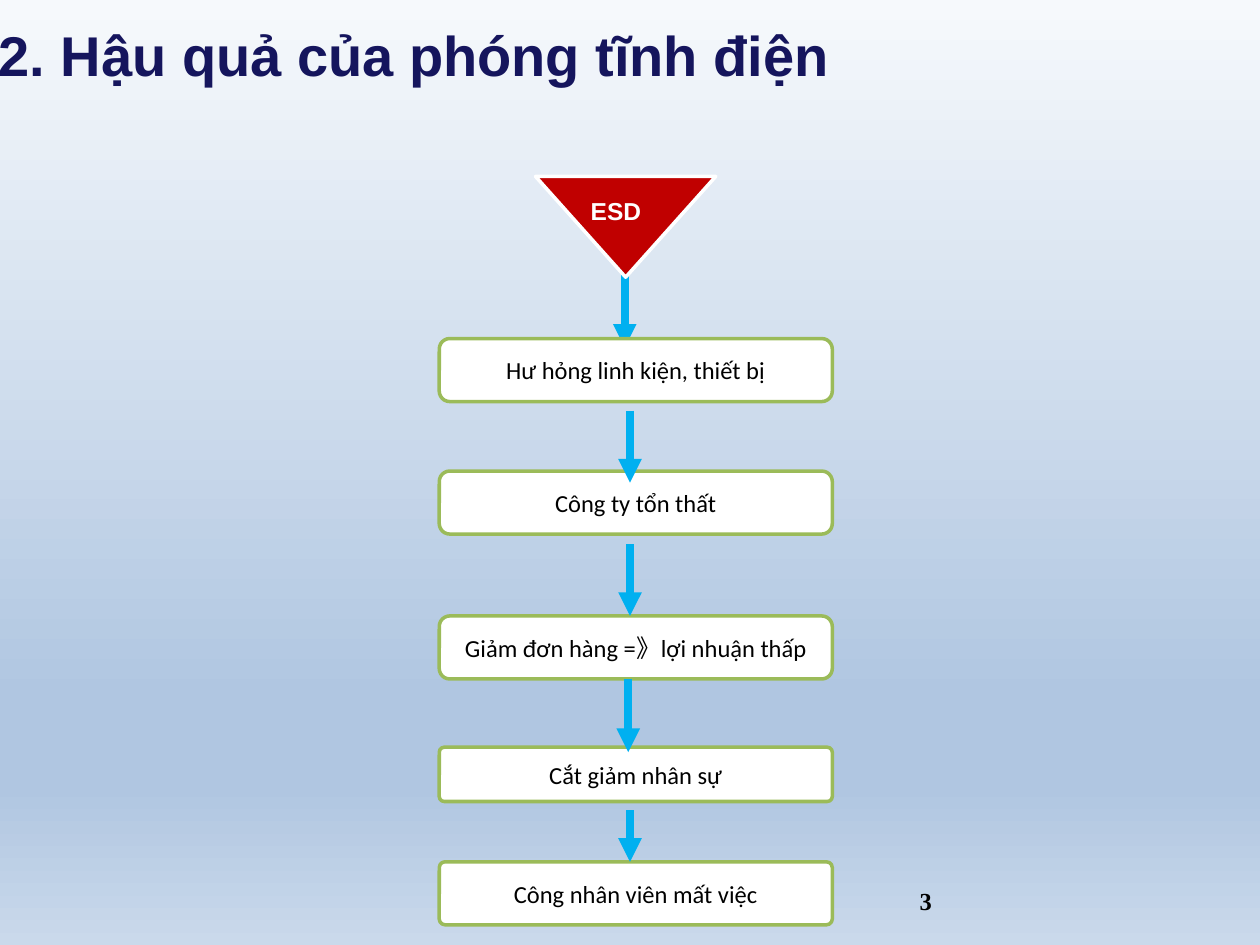
import copy
from dataclasses import dataclass

import pptx
import pptx.dml.color
import pptx.enum.shapes
import pptx.enum.text
import pptx.oxml.ns
import pptx.util

Pt = pptx.util.Pt
Shape = pptx.enum.shapes.MSO_SHAPE
Align = pptx.enum.text.PP_ALIGN
Anchor = pptx.enum.text.MSO_ANCHOR
qn = pptx.oxml.ns.qn


@dataclass
class Step:
    text: str
    top: float
    high: float = 36
    bend: float = 0.1667


@dataclass
class Arrow:
    left: float
    top: float
    end: float


STEPS = [
    Step("Hư hỏng linh kiện, thiết bị", 193.5),
    Step("Công ty tổn thất", 269.2),
    Step("Giảm đơn hàng =》lợi nhuận thấp", 352),
    Step("Cắt giảm nhân sự", 427, 31, 0.092),
    Step("Công nhân viên mất việc", 492.5, 36, 0.092),
]
FIRST = Arrow(357, 157, 198.7)
ARROWS = [
    Arrow(360, 234.7, 275.8),
    Arrow(360, 311, 352),
    Arrow(359, 388, 429.8),
    Arrow(360, 463, 492.5),
]
STOPS = [(0, "F6F9FC"), (0.74, "B0C6E1"), (0.83, "B0C6E1"), (1, "CAD9EB")]


def color(code: str) -> pptx.dml.color.RGBColor:
    return pptx.dml.color.RGBColor.from_string(code)


def style(para, name: str, size: float, code: str, bold: bool = False) -> None:
    font = para.font
    font.name, font.size, font.bold = name, Pt(size), bold
    font.color.rgb = color(code)


def paint(shape, fill: str, line: str) -> None:
    shape.shadow.inherit = False
    shape.fill.solid()
    shape.fill.fore_color.rgb = color(fill)
    shape.line.color.rgb = color(line)
    shape.line.width = Pt(2)


def shade(slide) -> None:
    fill = slide.background.fill
    fill.gradient()
    fill.gradient_angle = 270
    stops = next(slide.element.iter(qn("a:gsLst")))
    for _ in range(len(STOPS) - len(stops)):
        stops.append(copy.deepcopy(stops[0]))
    for stop, (place, code) in zip(fill.gradient_stops, STOPS):
        stop.position = place
        stop.color.rgb = color(code)


def head(slide, text: str) -> None:
    title = slide.shapes.title
    title.left, title.top = Pt(-0.7), Pt(8)
    title.width, title.height = Pt(720), Pt(46)
    frame = title.text_frame
    frame.margin_left = frame.margin_right = 0
    frame.margin_top = frame.margin_bottom = 0
    frame.vertical_anchor = Anchor.MIDDLE
    frame.text = text
    para = frame.paragraphs[0]
    para.alignment = Align.LEFT
    style(para, "Arial", 32, "15155D", True)


def label(slide, text: str, left: float, top: float, wide: float,
          high: float, name: str, code: str) -> None:
    box = slide.shapes.add_textbox(Pt(left), Pt(top), Pt(wide), Pt(high))
    box.text_frame.word_wrap = True
    box.text_frame.text = text
    style(box.text_frame.paragraphs[0], name, 14, code, True)


def draw_step(slide, step: Step) -> None:
    box = slide.shapes.add_shape(
        Shape.ROUNDED_RECTANGLE, Pt(251), Pt(step.top), Pt(224.6), Pt(step.high))
    box.adjustments[0] = step.bend
    paint(box, "FFFFFF", "9BBB59")
    frame = box.text_frame
    frame.word_wrap = True
    frame.vertical_anchor = Anchor.MIDDLE
    frame.text = step.text
    para = frame.paragraphs[0]
    para.alignment = Align.CENTER
    style(para, "Calibri", 14, "000000")


def draw_arrow(slide, arrow: Arrow) -> None:
    line = slide.shapes.add_connector(
        pptx.enum.shapes.MSO_CONNECTOR.STRAIGHT,
        Pt(arrow.left), Pt(arrow.top), Pt(arrow.left), Pt(arrow.end))
    line.line.color.rgb = color("00B0F0")
    line.line.width = Pt(4.5)
    tip = line.line._get_or_add_ln().makeelement(qn("a:tailEnd"), {"type": "triangle"})
    line.line._get_or_add_ln().append(tip)
    props = line.element.spPr
    props.append(props.makeelement(qn("a:effectLst"), {}))


def main() -> None:
    deck = pptx.Presentation()
    deck.slide_width, deck.slide_height = Pt(720), Pt(540)
    slide = deck.slides.add_slide(deck.slide_layouts[5])
    shade(slide)
    head(slide, "2. Hậu quả của phóng tĩnh điện")
    label(slide, "3", 518.4, 502.6, 165.6, 17.3, "Times New Roman", "000000")
    draw_arrow(slide, FIRST)
    for step in STEPS:
        draw_step(slide, step)
    cone = slide.shapes.add_shape(
        Shape.ISOSCELES_TRIANGLE, Pt(306), Pt(100.8), Pt(103), Pt(57.6))
    cone.rotation = 180
    paint(cone, "C00000", "FFFFFF")
    label(slide, "ESD", 330.5, 108.7, 48.2, 24.5, "Arial", "FFFFFF")
    for arrow in ARROWS:
        draw_arrow(slide, arrow)
    deck.save("out.pptx")


if __name__ == "__main__":
    main()
